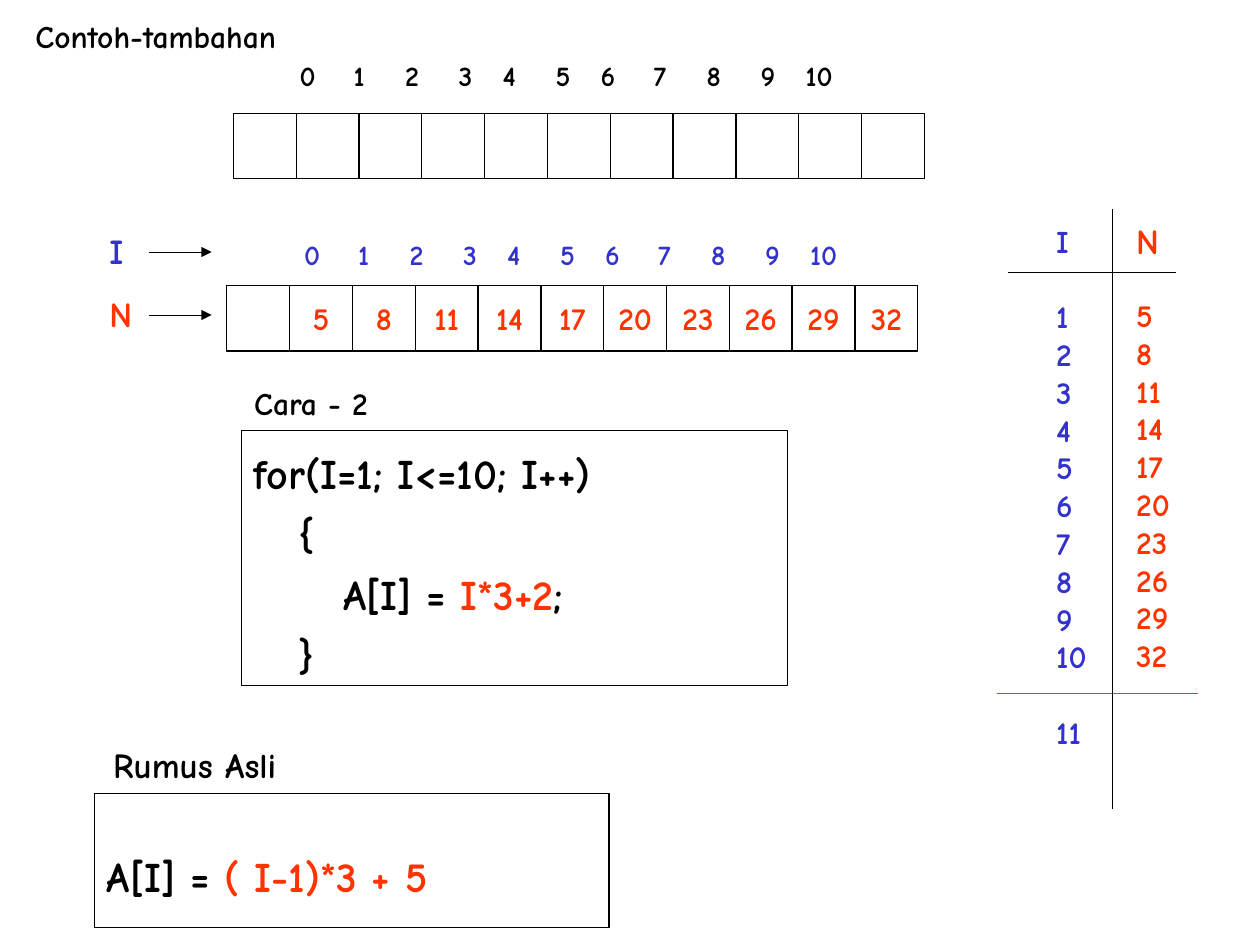
"""Build the slide on filling an array from a formula in a for loop."""
from lxml import etree
from pptx import Presentation
from pptx import util as u
from pptx.dml.color import RGBColor
from pptx.enum import shapes, text
from pptx.oxml.ns import qn

FONT = "Comic Neue"
BLACK = RGBColor(0x00, 0x00, 0x00)
BLUE = RGBColor(0x33, 0x33, 0xCC)
RED = RGBColor(0xFF, 0x33, 0x00)

CELL_W, CELL_H = 35.9, 37.4
INDEX_STEPS = [0, 30.9, 60.3, 90.9, 116, 146.3, 172, 202.3, 232.6, 263.4, 289.2]
LINE_H = 21.6


def box(left, top, width, height):
    """Return a position and size given in points."""
    return [u.Pt(v) for v in (left, top, width, height)]


def add_run(p, words, size, color):
    """Append one bold run to a paragraph."""
    r = p.add_run()
    r.text = words
    r.font.name = FONT
    r.font.size = u.Pt(size)
    r.font.bold = True
    r.font.color.rgb = color


def add_text(container, place, lines, size, color, gaps=None):
    """Add an unwrapped text box with one paragraph per line."""
    sp = container.add_textbox(*box(*place))
    tf = sp.text_frame
    tf.word_wrap = False
    tf.margin_right = 0
    for i, line in enumerate(lines):
        p = tf.paragraphs[0] if i == 0 else tf.add_paragraph()
        if gaps and line in gaps:
            p.space_before = u.Pt(gaps[line])
        add_run(p, line, size, color)
    return sp


def add_index(container, place, indent, color):
    """Add the numbers 0 to 10 on tab stops."""
    sp = add_text(container, place, ["\t" + "\t".join(map(str, range(11)))], 16, color)
    sp.text_frame.word_wrap = True
    p_pr = sp.text_frame.paragraphs[0]._p.get_or_add_pPr()
    tabs = etree.SubElement(p_pr, qn("a:tabLst"))
    for step in INDEX_STEPS:
        etree.SubElement(tabs, qn("a:tab"), pos=str(int(u.Pt(indent + step))), algn="l")


def add_frame(container, place):
    """Add an unfilled rectangle with a thin black outline."""
    sp = container.add_shape(shapes.MSO_SHAPE.RECTANGLE, *box(*place))
    sp.shadow.inherit = False
    sp.fill.background()
    sp.line.color.rgb = BLACK
    sp.line.width = u.Pt(0.75)
    return sp


def add_array(container, left, top, values):
    """Add a row of cells, leaving those without a value empty."""
    for i, value in enumerate(values):
        sp = add_frame(container, (left + i * CELL_W, top, CELL_W, CELL_H))
        if value:
            tf = sp.text_frame
            tf.word_wrap = False
            tf.vertical_anchor = text.MSO_ANCHOR.MIDDLE
            tf.paragraphs[0].alignment = text.PP_ALIGN.CENTER
            add_run(tf.paragraphs[0], value, 18, RED)


def add_code(container, place, lines, spacing=1, top=3.6):
    """Add a framed listing; each line is an indent and its coloured runs."""
    tf = add_frame(container, place).text_frame
    tf.word_wrap = True
    tf.vertical_anchor = text.MSO_ANCHOR.TOP
    tf.margin_top = u.Pt(top)
    for i, (indent, runs) in enumerate(lines):
        p = tf.paragraphs[0] if i == 0 else tf.add_paragraph()
        p.alignment = text.PP_ALIGN.LEFT
        p.line_spacing = spacing
        p._p.get_or_add_pPr().set("marL", str(int(u.Pt(indent))))
        for words, color in runs:
            add_run(p, words, 24, color)


def add_line(container, x1, y1, x2, y2, color=BLACK, arrow=False):
    """Add a default-width straight line, with an arrowhead at its end if asked."""
    ends = [u.Pt(v) for v in (x1, y1, x2, y2)]
    ln = container.add_connector(shapes.MSO_CONNECTOR.STRAIGHT, *ends)
    ln._element.remove(ln._element.find(qn("p:style")))
    ln.line.color.rgb = color
    if arrow:
        etree.SubElement(ln.line._get_or_add_ln(), qn("a:tailEnd"), type="triangle")
    etree.SubElement(ln._element.spPr, qn("a:effectLst"))


def set_title(sp, words):
    """Place and format the title."""
    sp.left, sp.top, sp.width, sp.height = box(13, 6, 160, 28.8)
    tf = sp.text_frame
    tf.word_wrap = False
    tf.auto_size = text.MSO_AUTO_SIZE.NONE
    tf.vertical_anchor = text.MSO_ANCHOR.TOP
    tf.paragraphs[0].alignment = text.PP_ALIGN.LEFT
    add_run(tf.paragraphs[0], words, 18, BLACK)


def add_value_table(container, values):
    """Add the ruled list of I and N."""
    counts = [str(i) for i in range(1, 12)]
    add_text(container, (596.5, 123.1, 31.7, 309.6), ["I"] + counts, 18, BLUE,
             {"1": LINE_H, "11": LINE_H})
    add_text(container, (642.2, 121.7, 27.4, 31.7), ["N"], 20, RED)
    add_text(container, (642.2, 165.6, 33.1, 223.2), values, 18, RED)
    add_line(container, 576, 156, 672, 156)
    add_line(container, 570, 396, 684, 396, RED)
    add_line(container, 636, 120, 636, 462)


def main():
    """Build and save the slide."""
    prs = Presentation()
    prs.slide_width, prs.slide_height = u.Pt(720), u.Pt(540)
    slide = prs.slides.add_slide(prs.slide_layouts[5])
    set_title(slide.shapes.title, "Contoh-tambahan")
    canvas = slide.shapes
    values = [str(i * 3 + 2) for i in range(1, 11)]

    empty = canvas.add_group_shape().shapes
    add_array(empty, 133.4, 64.8, [""] * 11)
    add_index(empty, (158.4, 30.2, 330.5, 26.6), 5.7, BLACK)

    add_array(canvas, 129.6, 163.2, [""] + values)
    add_index(canvas, (155.5, 132, 336.2, 26.6), 11.2, BLUE)
    for name, top, color in (("I", 127.4, BLUE), ("N", 163.4, RED)):
        add_text(canvas, (55.4, top, 27.4, 31.7), [name], 20, color)
        add_line(canvas, 85, top + 16.6, 121, top + 16.6, arrow=True)

    add_value_table(canvas, values)

    add_text(canvas, (138.2, 216, 79.9, 28.8), ["Cara - 2"], 18, BLACK)
    add_code(canvas, (138, 246.2, 312, 145.4), [
        (0, [("for(I=1; I<=10; I++)", BLACK)]),
        (25.5, [("{", BLACK)]),
        (51, [("A[I] = ", BLACK), ("I*3+2", RED), (";", BLACK)]),
        (25.5, [("}", BLACK)]),
    ], spacing=1.2)

    add_text(canvas, (57.6, 421.2, 107.3, 31.7), ["Rumus Asli"], 20, BLACK)
    add_code(canvas, (54, 453.6, 294, 76.3),
             [(0, [("A[I] = ", BLACK), ("( I-1)*3 + 5", RED)])], top=32.5)

    prs.save("out.pptx")


if __name__ == "__main__":
    main()
